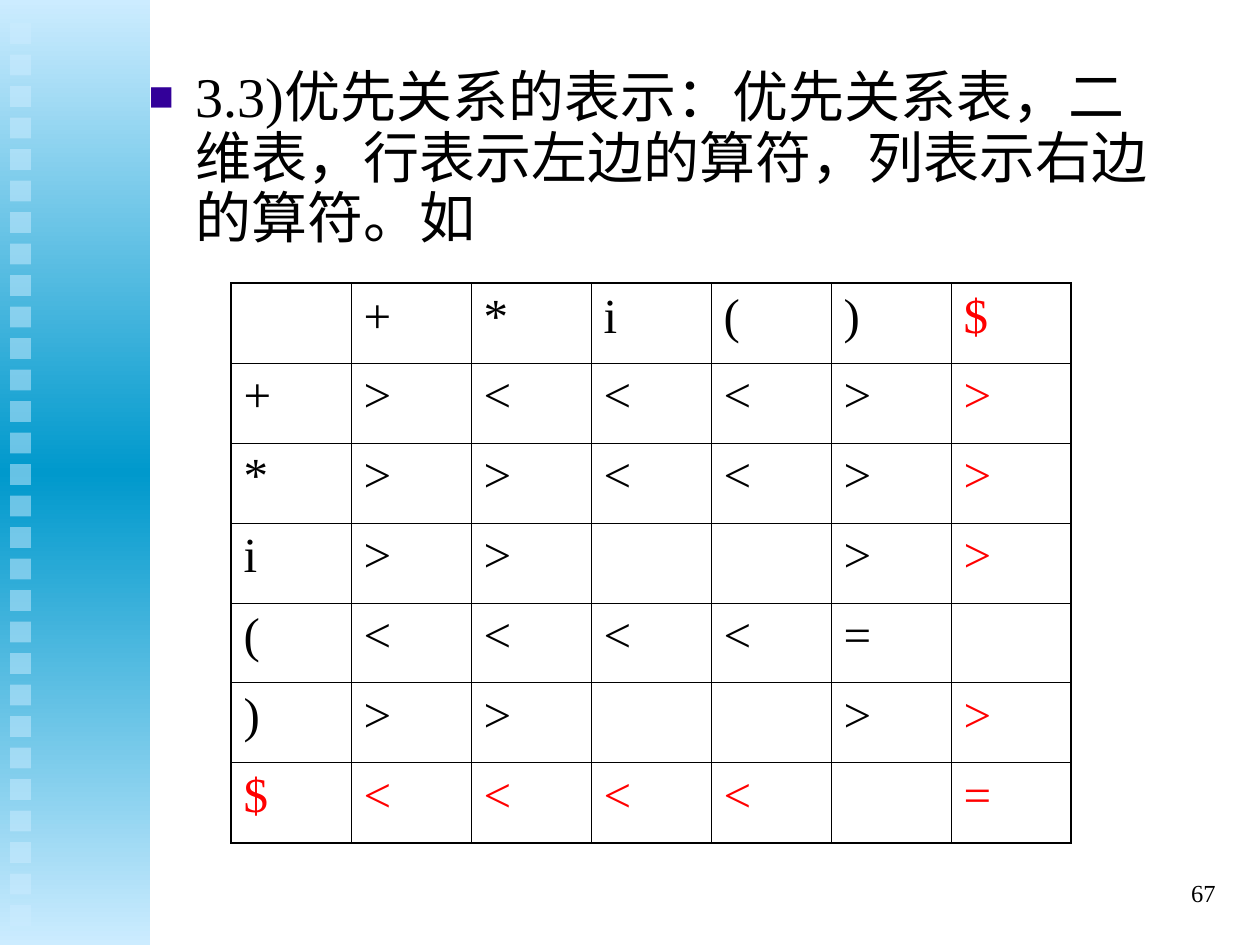
import copy
from dataclasses import dataclass

import lxml.etree
import pptx
import pptx.dml.color
import pptx.enum.dml
import pptx.enum.shapes
import pptx.enum.text
import pptx.oxml.ns
import pptx.util

STATEMENT = "3.3)优先关系的表示：优先关系表，二维表，行表示左边的算符，列表示右边的算符。如"
PAGE_NUMBER = "67"
END_MARK = "$"
OPERATORS = ["+", "*", "i", "(", ")", END_MARK]
# One row per left operator, one column per right operator.
PRECEDENCE = [
    [">", "<", "<", "<", ">", ">"],
    [">", ">", "<", "<", ">", ">"],
    [">", ">", "", "", ">", ">"],
    ["<", "<", "<", "<", "=", ""],
    [">", ">", "", "", ">", ">"],
    ["<", "<", "<", "<", "", "="],
]


@dataclass(frozen=True)
class Theme:
    font: str = "Times New Roman"
    ink: str = "000000"
    accent: str = "FF0000"
    bullet: str = "330099"
    pale: str = "CCECFF"
    deep: str = "0099CC"
    statement_size: int = 32
    table_size: int = 28
    page_size: int = 14
    inner_line: float = 0.45
    outer_line: float = 1.08


THEME = Theme()
PX = 914400 / 126


def px(length):
    return pptx.util.Emu(round(length * PX))


def rgb(value):
    return pptx.dml.color.RGBColor.from_string(value)


def add_xml(parent, tag, **attributes):
    child = lxml.etree.SubElement(parent, pptx.oxml.ns.qn(tag))
    for name, value in attributes.items():
        child.set(name, str(value))
    return child


def place(shape, left, top, width, height):
    shape.left, shape.top, shape.width, shape.height = map(px, (left, top, width, height))


def write(frame, text, *, size, color=THEME.ink, before=0, spacing=None, align=None):
    """Put formatted text in the first paragraph and return that paragraph."""
    frame.word_wrap = True
    paragraph = frame.paragraphs[0]
    paragraph.space_before = pptx.util.Pt(before)
    if spacing:
        paragraph.line_spacing = spacing
    if align is not None:
        paragraph.alignment = align
    run = paragraph.add_run()
    run.text = text
    run.font.name = THEME.font
    run.font.size = pptx.util.Pt(size)
    run.font.color.rgb = rgb(color)
    return paragraph


def add_bar(shapes, left, top, width, height):
    bar = shapes.add_shape(pptx.enum.shapes.MSO_SHAPE.RECTANGLE, *map(px, (left, top, width, height)))
    bar.shadow.inherit = False
    bar.line.fill.background()
    return bar


def add_side_band(slide):
    band = add_bar(slide.shapes, 0, 0, 150, 945)
    band.fill.gradient()
    band.fill.gradient_angle = 270
    first, last = band.fill.gradient_stops
    for stop, position, color in ((first, 0, THEME.pale), (last, 1, THEME.pale)):
        stop.position = position
        stop.color.rgb = rgb(color)
    stops = band.fill._fill._gradFill.gsLst
    stops.insert(1, copy.deepcopy(stops[0]))
    middle = band.fill.gradient_stops[1]
    middle.position = 0.5
    middle.color.rgb = rgb(THEME.deep)

    square_count, first_top, pitch = 29, 23, 31.5
    for index in range(square_count):
        square = add_bar(slide.shapes, 10, first_top + index * pitch, 21, 21)
        square.fill.solid()
        square.fill.fore_color.rgb = rgb(THEME.pale)
        color = square.fill._xPr.find(".//" + pptx.oxml.ns.qn("a:srgbClr"))
        add_xml(color, "a:alpha", val=50000)


def add_statement(slide):
    body = slide.placeholders[1]
    place(body, 136, 63, 1050, 210)
    body.text_frame.auto_size = pptx.enum.text.MSO_AUTO_SIZE.NONE
    paragraph = write(body.text_frame, STATEMENT, size=THEME.statement_size, before=8, spacing=0.9)
    properties = paragraph._p.get_or_add_pPr()
    properties.set("marL", str(px(47)))
    properties.set("indent", str(-px(47)))
    add_xml(add_xml(properties, "a:buClr"), "a:srgbClr", val=THEME.bullet)
    add_xml(properties, "a:buSzPct", val=75000)
    add_xml(properties, "a:buFont", typeface=THEME.font)
    add_xml(properties, "a:buChar", char="■")


def set_borders(cell, outer_sides):
    properties = cell._tc.get_or_add_tcPr()
    for index, side in enumerate("LRTB"):
        weight = THEME.outer_line if side in outer_sides else THEME.inner_line
        line = lxml.etree.Element(pptx.oxml.ns.qn("a:ln" + side), w=str(pptx.util.Pt(weight)))
        add_xml(add_xml(line, "a:solidFill"), "a:srgbClr", val=THEME.ink)
        properties.insert(index, line)


def add_precedence_table(slide):
    grid = [[""] + OPERATORS] + [[left] + row for left, row in zip(OPERATORS, PRECEDENCE)]
    end = len(grid) - 1
    cell_width, cell_height = 120, 80
    table = slide.shapes.add_table(
        len(grid), len(grid), px(231), px(283), px(cell_width * len(grid)), px(cell_height * len(grid))
    ).table
    table.first_row = table.horz_banding = False
    for column in table.columns:
        column.width = px(cell_width)
    for row in table.rows:
        row.height = px(cell_height)
    for r, symbols in enumerate(grid):
        for c, symbol in enumerate(symbols):
            cell = table.cell(r, c)
            cell.fill.background()
            edges = {"L": c == 0, "R": c == end, "T": r == 0, "B": r == end}
            set_borders(cell, [side for side, outer in edges.items() if outer])
            if symbol:
                color = THEME.accent if END_MARK in (grid[r][0], grid[0][c]) else THEME.ink
                write(cell.text_frame, symbol, size=THEME.table_size, color=color, before=7)


def add_page_number(slide):
    box = slide.shapes.add_textbox(*map(px, (966, 861, 262, 63)))
    box.text_frame.vertical_anchor = pptx.enum.text.MSO_ANCHOR.MIDDLE
    write(box.text_frame, PAGE_NUMBER, size=THEME.page_size, align=pptx.enum.text.PP_ALIGN.RIGHT)


def main():
    deck = pptx.Presentation()
    deck.slide_width, deck.slide_height = px(1260), px(945)
    slide = deck.slides.add_slide(deck.slide_layouts[1])
    title = slide.shapes.title._element
    title.getparent().remove(title)
    add_side_band(slide)
    add_statement(slide)
    add_precedence_table(slide)
    add_page_number(slide)
    deck.save("out.pptx")


if __name__ == "__main__":
    main()
